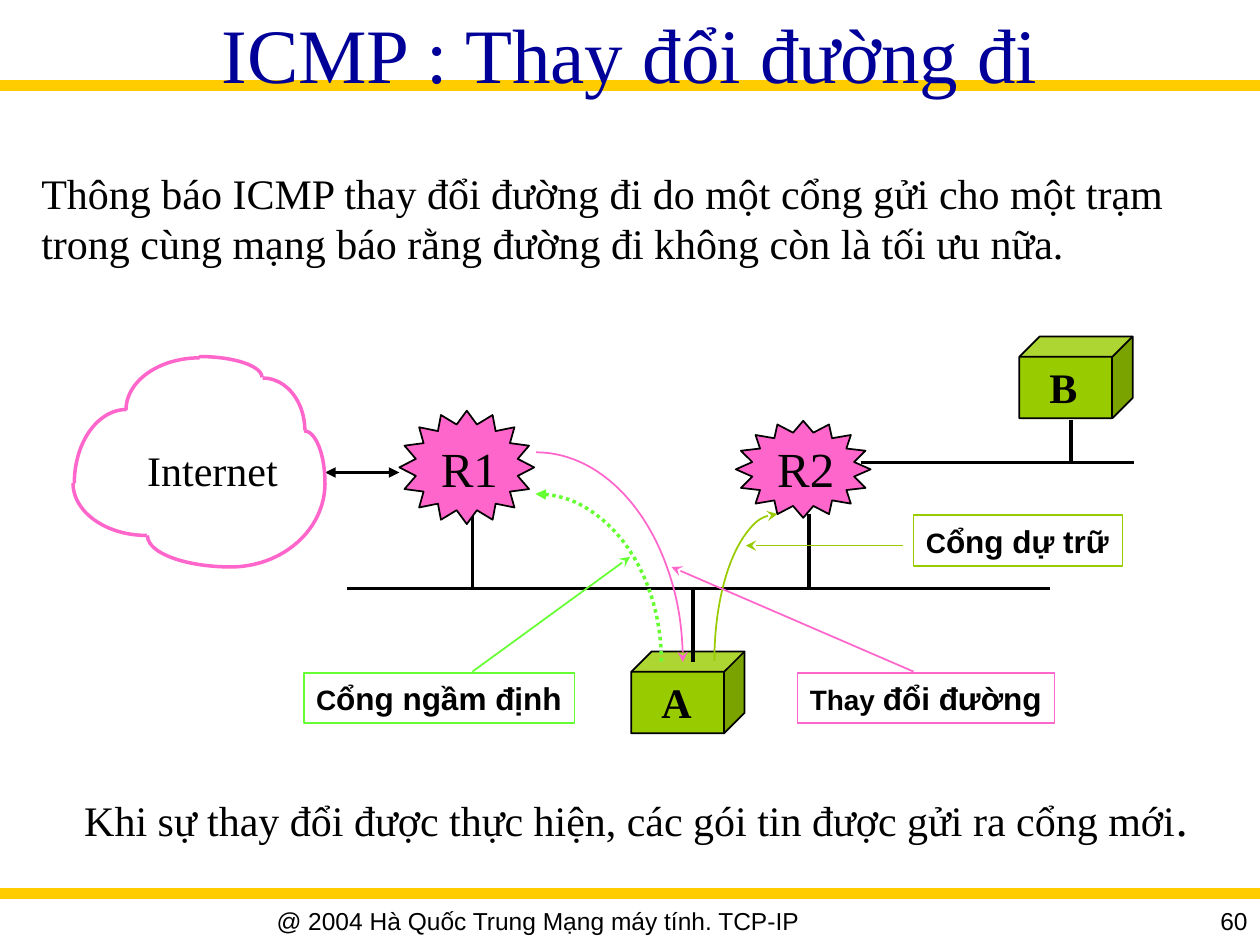
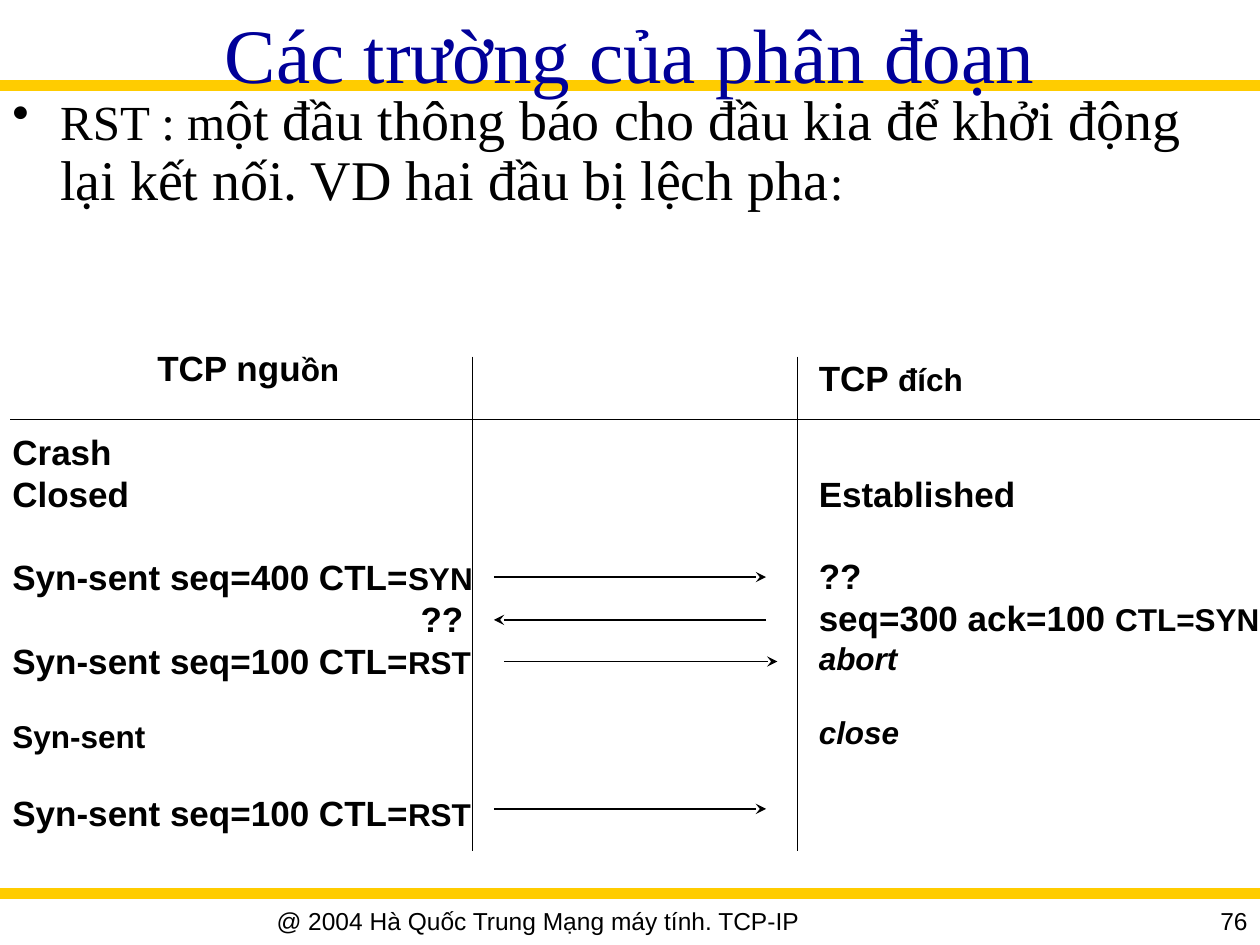
from dataclasses import dataclass

from lxml.etree import SubElement
from pptx import Presentation
from pptx.dml.color import RGBColor
from pptx.enum.dml import MSO_LINE
from pptx.enum.shapes import MSO_CONNECTOR, MSO_SHAPE
from pptx.enum.text import MSO_ANCHOR, PP_ALIGN
from pptx.oxml.ns import qn
from pptx.util import Inches, Pt

BLACK, NAVY, GOLD = "000000", "000099", "FFCC00"
PINK, GREEN, OLIVE = "FF66CC", "66FF33", "99CC00"
SERIF, SANS = "Times New Roman", "Arial"
ARC_ANGLES = {"top right": (162, 0), "top left": (108, 162),
              "bottom left": (54, 108), "bottom right": (0, 54)}


@dataclass
class Line:
    """One paragraph: (text, size) spans and its spacing."""
    spans: list
    before: float = 0
    indent: float = 0
    italic: bool = False


def color(value):
    """Turn a hex string into a colour."""
    return RGBColor.from_string(value)


def add_span(para, text, font=SERIF, size=24, ink=BLACK, bold=False, italic=False):
    """Add a formatted run of text to a paragraph."""
    span = para.add_run()
    span.text = text
    span.font.name = font
    span.font.size = Pt(size)
    span.font.color.rgb = color(ink)
    span.font.bold = bold
    span.font.italic = italic


def add_bullet(para, indent):
    """Give a paragraph a hanging bullet."""
    properties = para._p.get_or_add_pPr()
    properties.set("marL", str(Inches(indent)))
    properties.set("indent", str(Inches(-indent)))
    SubElement(properties, qn("a:buChar"), char="•")


class Deck:
    """Holds the shared style and the slide being drawn."""

    def __init__(self):
        """Start an empty 10 by 7.5 inch presentation."""
        self.presentation = Presentation()
        self.presentation.slide_width = Inches(10)
        self.presentation.slide_height = Inches(7.5)
        self.page = None

    def start_page(self, title, number):
        """Add a slide with bands, title and footer."""
        layout = self.presentation.slide_layouts[6]
        self.page = self.presentation.slides.add_slide(layout)
        for height in (0.68, 7.09):
            self.line((0, height), (10, height), GOLD, 6)
        self.text((0, 0, 10, 0.68), title, size=44, ink=NAVY, align=PP_ALIGN.CENTER)
        footer = {"font": SANS, "size": 14}
        self.text((0, 7.14, 8.54, 0.36), "@ 2004 Hà Quốc Trung Mạng máy tính. TCP-IP",
                  align=PP_ALIGN.CENTER, **footer)
        self.text((8.58, 7.14, 1.42, 0.31), str(number), align=PP_ALIGN.RIGHT, **footer)

    def text(self, place, *lines, **style):
        """Add a text box of strings or Lines."""
        box = self.page.shapes.add_textbox(*map(Inches, place))
        self.fill_text(box, lines, **style)

    def fill_text(self, box, lines, wrap=True, align=PP_ALIGN.LEFT, spacing=None,
                  bullet=0, size=24, **style):
        """Write lines into a shape's text frame."""
        frame = box.text_frame
        frame.word_wrap = wrap
        frame.vertical_anchor = MSO_ANCHOR.TOP
        for index, line in enumerate(lines):
            if isinstance(line, str):
                line = Line([(line, size)])
            para = frame.add_paragraph() if index else frame.paragraphs[0]
            para.alignment = align
            if spacing:
                para.line_spacing = spacing
            if line.before:
                para.space_before = Pt(line.before)
            if line.indent:
                para._p.get_or_add_pPr().set("marL", str(Inches(line.indent)))
            if bullet:
                add_bullet(para, bullet)
            for words, span_size in line.spans:
                add_span(para, words, size=span_size, italic=line.italic, **style)

    def stroke(self, item, ink, width, head=None, tail=None, dash=None):
        """Style an outline and its arrowheads."""
        item.line.color.rgb = color(ink)
        item.line.width = Pt(width)
        if dash:
            item.line.dash_style = dash
        outline = item.line._get_or_add_ln()
        for end, kind in (("a:headEnd", head), ("a:tailEnd", tail)):
            if kind:
                SubElement(outline, qn(end), type=kind)

    def line(self, start, end, ink=BLACK, width=1, **ends):
        """Add a straight connector."""
        connector = self.page.shapes.add_connector(
            MSO_CONNECTOR.STRAIGHT, *map(Inches, (*start, *end)))
        SubElement(connector._element.spPr, qn("a:effectLst"))
        self.stroke(connector, ink, width, **ends)
        effects = connector._element.spPr.find(qn("a:effectLst"))
        connector._element.spPr.append(effects)

    def shape(self, kind, place, ink=BLACK, width=1, fill=None, **ends):
        """Add a preset shape without shadow."""
        item = self.page.shapes.add_shape(kind, *map(Inches, place))
        item.shadow.inherit = False
        if fill:
            item.fill.solid()
            item.fill.fore_color.rgb = color(fill)
        else:
            item.fill.background()
        self.stroke(item, ink, width, **ends)
        return item

    def arc(self, place, quarter, ink, width, **ends):
        """Add a quarter of the ellipse that fills a place."""
        item = self.shape(MSO_SHAPE.ARC, place, ink, width, **ends)
        item.adjustments[0], item.adjustments[1] = ARC_ANGLES[quarter]

    def label(self, place, first, rest, ink):
        """Add an outlined label in two text sizes."""
        box = self.shape(MSO_SHAPE.RECTANGLE, place, ink)
        self.fill_text(box, [Line([(first, 16), (rest, 18)])], wrap=False,
                       font=SANS, bold=True)

    def host(self, left, top, name):
        """Add a named host cube."""
        self.shape(MSO_SHAPE.CUBE, (left, top, 0.9, 0.65), fill=OLIVE)
        self.text((left + 0.14, top + 0.15, 0.44, 0.5), name, wrap=False, bold=True)

    def router(self, place, name, name_left):
        """Add a named router star."""
        star = self.shape(MSO_SHAPE.STAR_16_POINT, place, fill=PINK)
        star.adjustments[0] = 0.385
        self.text((name_left, 3.43, 0.66, 0.57), name, wrap=False, size=28)


def draw_redirect(deck):
    """Draw the ICMP redirect slide."""
    deck.start_page("ICMP : Thay đổi đường đi", 60)
    deck.text((0.23, 1.28, 9.6, 0.9),
              "Thông báo ICMP thay đổi đường đi do một cổng gửi cho một trạm "
              "trong cùng mạng báo rằng đường đi không còn là tối ưu nữa.")

    deck.host(5.01, 5.17, "A")
    deck.host(8.09, 2.67, "B")
    wires = [((2.75, 4.67), (8.33, 4.67)), ((5.5, 4.67), (5.5, 5.25)),
             ((3.75, 4.08), (3.75, 4.67)), ((6.42, 4.08), (6.42, 4.67)),
             ((6.83, 3.67), (9, 3.67)), ((8.5, 3.33), (8.5, 3.67))]
    for start, end in wires:
        deck.line(start, end, width=2)
    deck.router((3.17, 3.26, 1.07, 0.9), "R1", 3.4)
    deck.router((5.84, 3.34, 1.07, 0.77), "R2", 6.07)
    deck.line((2.58, 3.75), (3.17, 3.75), width=2, head="triangle", tail="triangle")

    cloud = [((1.08, 2.83, 1, 0.33), "top right"),
             ((1.75, 3, 0.67, 0.83), "top right"),
             ((2.25, 3.42, 0.33, 0.83), "top right"),
             ((1, 2.84, 1.17, 0.83), "top left"),
             ((0.59, 3.25, 0.83, 1.17), "top left"),
             ((0.58, 3.42, 1.17, 0.83), "bottom left"),
             ((1.17, 4, 1.33, 0.5), "bottom left"),
             ((1.08, 3.17, 1.5, 1.33), "bottom right")]
    for place, quarter in cloud:
        deck.arc(place, quarter, PINK, 2)
    deck.text((1.07, 3.48, 1.24, 0.5), "Internet", wrap=False)

    deck.arc((3.25, 3.92, 2, 2.67), "top right", GREEN, 2,
             head="triangle", dash=MSO_LINE.ROUND_DOT)
    deck.arc((3.09, 3.59, 2.33, 3.33), "top right", PINK, 1, tail="stealth")
    deck.arc((5.67, 4.08, 1, 2.33), "top left", OLIVE, 1, tail="stealth")
    deck.line((3.75, 5.33), (5, 4.42), GREEN, tail="stealth")
    deck.line((7.25, 5.33), (5.33, 4.5), PINK, tail="stealth")
    deck.line((7.17, 4.33), (5.92, 4.33), OLIVE, tail="stealth")
    deck.label((2.41, 5.34, 2.15, 0.4), "C", "ổng ngầm định", GREEN)
    deck.label((6.33, 5.34, 2.04, 0.4), "Thay ", "đổi đường", PINK)
    deck.label((7.25, 4.09, 1.66, 0.4), "C", "ổng dự trữ", OLIVE)

    deck.text((0.57, 6.25, 9.43, 0.66),
              Line([("Khi sự thay đổi được thực hiện, các gói tin được gửi ra cổng mới", 24),
                    (".", 28)]), spacing=0.9)


def draw_reset(deck):
    """Draw the TCP reset exchange slide."""
    deck.start_page("Các trường của phân đoạn", 76)
    deck.text((0, 0.68, 10, 1.24),
              Line([("RST : m", 28),
                    ("ột đầu thông báo cho đầu kia để khởi động lại kết nối. "
                     "VD hai đầu bị lệch pha", 32), (":", 28)]),
              spacing=0.9, bullet=0.38)

    bold = {"font": SANS, "bold": True, "wrap": False, "size": 20}
    deck.text((1.15, 2.7, 1.65, 0.43), Line([("TCP ngu", 20), ("ồn", 18)]), **bold)
    deck.text((6.4, 2.78, 1.35, 0.43), Line([("TCP ", 20), ("đích", 18)]), **bold)
    deck.line((0.08, 3.33), (10, 3.33))
    for left in (3.75, 6.33):
        deck.line((left, 2.83), (left, 6.75))

    reset = [("Syn-sent seq=100 CTL=", 20), ("RST", 18)]
    deck.text((0, 3.37, 3.86, 3.34),
              "Crash", "Closed",
              Line([("Syn-sent seq=400 CTL=", 20), ("SYN", 18)], before=23),
              Line([("??", 20)], indent=3.24),
              Line(reset),
              Line([("Syn-sent", 18)], before=20.7),
              Line(reset, before=20.7), **bold)
    deck.text((6.4, 3.7, 3.7, 2.34),
              "Established",
              Line([("??", 20)], before=23),
              Line([("seq=300 ack=100 ", 20), ("CTL=SYN", 18)]),
              Line([("abort", 18)], italic=True),
              Line([("close", 18)], before=20.7, italic=True), **bold)

    messages = [(3.92, 6.08, 4.58), (6.08, 3.92, 4.92),
                (4, 6.17, 5.25), (3.92, 6.08, 6.42)]
    for start, end, height in messages:
        deck.line((start, height), (end, height), tail="stealth")


def main():
    """Build both slides and save them."""
    deck = Deck()
    draw_redirect(deck)
    draw_reset(deck)
    deck.presentation.save("out.pptx")


if __name__ == "__main__":
    main()
